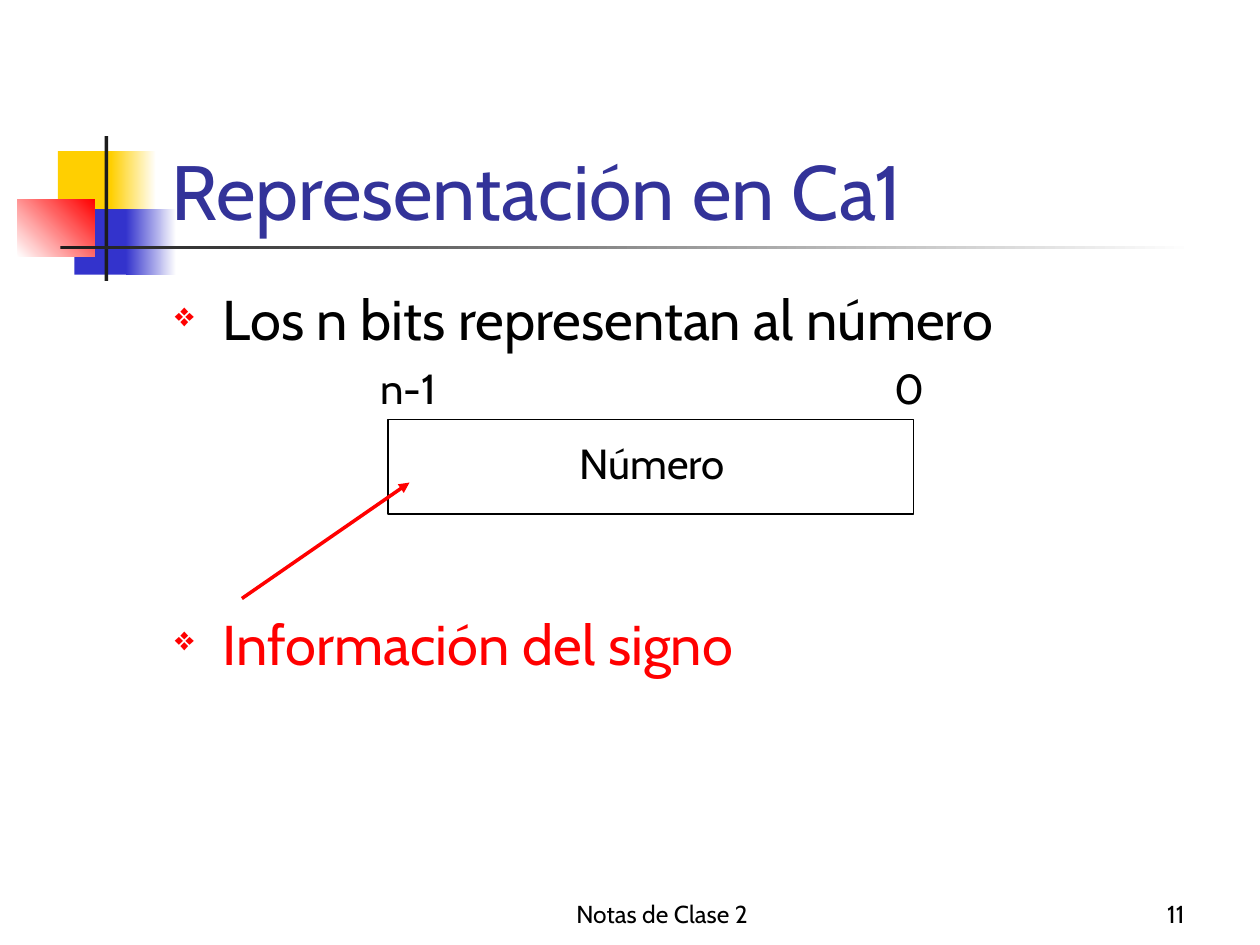
from lxml.etree import SubElement
from pptx import Presentation
from pptx.dml.color import RGBColor
from pptx.enum.shapes import MSO_CONNECTOR, MSO_SHAPE
from pptx.enum.text import MSO_ANCHOR, PP_ALIGN
from pptx.oxml.ns import qn
from pptx.util import Inches, Pt

THEME = {
    "font": "Cabin",
    "black": "000000", "white": "FFFFFF", "red": "FF0000", "title": "333399",
    "yellow": "FFCF01", "blue": "3333CC", "ink": "1C1C1C",
    "title_size": 44, "body_size": 32, "label_size": 24, "footer_size": 14,
}

# (left, top, width, height), fill colours, gradient angle (counter-clockwise)
ORNAMENT = [
    ((0.46, 1.2, 0.48, 0.52), ["yellow"], 0),
    ((0.88, 1.2, 0.36, 0.52), ["yellow", "white"], 0),
    ((0.59, 1.66, 0.46, 0.52), ["blue"], 0),
    ((1, 1.66, 0.4, 0.52), ["blue", "white"], 0),
    ((0.14, 1.58, 0.61, 0.46), ["white", "red"], 45),
    ((0.83, 1.08, 0.03, 1.15), ["ink"], 0),
    ((0.48, 1.95, 9, 0.03), ["ink", "white"], 0),
]
BOTTOM = {"vertical_anchor": MSO_ANCHOR.BOTTOM}
# text, box, size, colour, alignment, frame format
TEXTS = [
    ("Notas de Clase 2", (3.67, 6.92, 3.17, 0.5), "footer_size", "black", PP_ALIGN.CENTER, BOTTOM),
    ("11", (7.42, 6.92, 2.08, 0.5), "footer_size", "black", PP_ALIGN.RIGHT, BOTTOM),
    ("Representación en Ca1", (1.26, 0.67, 8.52, 1.25), "title_size", "title", PP_ALIGN.LEFT, BOTTOM),
]
LABELS = [
    ("Número", (4.5, 3.42, 1.58, 0.5), "label_size", "black", PP_ALIGN.LEFT, {}),
    ("0", (7, 2.83, 0.33, 0.5), "label_size", "black", PP_ALIGN.LEFT, {}),
    ("n-1", (2.92, 2.83, 1.08, 0.5), "label_size", "black", PP_ALIGN.LEFT, {}),
]
# text, colour, points of space before (the register diagram sits in the gap)
BULLETS = [
    ("Los n bits representan al número", "black", 0),
    ("Información del signo", "red", 147),
]
BODY_BOX = (1.29, 2.21, 8.5, 4.5)
REGISTER_BOX = (3.08, 3.33, 4.17, 0.75)
SIGN_ARROW = (1.92, 4.75, 3.25, 3.83)
BULLET_INDENT = 0.38


def rgb(name):
    return RGBColor.from_string(THEME[name])


def inches(values):
    return [Inches(v) for v in values]


def add_rect(slide, box, colors, angle=0, line=None):
    sp = slide.shapes.add_shape(MSO_SHAPE.RECTANGLE, *inches(box))
    sp.shadow.inherit = False
    if len(colors) == 1:
        sp.fill.solid()
        sp.fill.fore_color.rgb = rgb(colors[0])
    else:
        sp.fill.gradient()
        sp.fill.gradient_angle = angle
        for stop, position, color in zip(sp.fill.gradient_stops, (0, 1), colors):
            stop.position = position
            stop.color.rgb = rgb(color)
    if line:
        sp.line.color.rgb = rgb(line)
        sp.line.width = Pt(0.75)
    else:
        sp.line.fill.background()


def add_frame(slide, box, frame_format):
    tf = slide.shapes.add_textbox(*inches(box)).text_frame
    for name, value in {"word_wrap": True, **frame_format}.items():
        setattr(tf, name, value)
    return tf


def write(p, text, size, color):
    r = p.add_run()
    r.text = text
    for name, value in {"name": THEME["font"], "size": Pt(THEME[size])}.items():
        setattr(r.font, name, value)
    r.font.color.rgb = rgb(color)


def add_text(slide, text, box, size, color, align, frame_format):
    p = add_frame(slide, box, frame_format).paragraphs[0]
    p.alignment = align
    write(p, text, size, color)


def set_bullet(p):
    p_pr = p._p.get_or_add_pPr()
    p_pr.set("marL", str(Inches(BULLET_INDENT)))
    p_pr.set("indent", str(-Inches(BULLET_INDENT)))
    bullet_color = SubElement(p_pr, qn("a:buClr"))
    SubElement(bullet_color, qn("a:srgbClr"), val=THEME["red"])
    SubElement(p_pr, qn("a:buSzPct"), val="60000")
    SubElement(p_pr, qn("a:buChar"), char="❖")


def add_bullets(slide):
    tf = add_frame(slide, BODY_BOX, {})
    for i, (text, color, gap) in enumerate(BULLETS):
        p = tf.add_paragraph() if i else tf.paragraphs[0]
        set_bullet(p)
        p.space_before = Pt(gap)
        write(p, text, "body_size", color)


def add_arrow(slide, ends):
    line = slide.shapes.add_connector(MSO_CONNECTOR.STRAIGHT, *inches(ends))
    line.line.color.rgb = rgb("red")
    line.line.width = Pt(2)
    SubElement(line.line._get_or_add_ln(), qn("a:tailEnd"), type="triangle")
    SubElement(line._element.spPr, qn("a:effectLst"))


def main():
    prs = Presentation()
    prs.slide_width, prs.slide_height = Inches(10), Inches(7.5)
    slide = prs.slides.add_slide(prs.slide_layouts[6])
    for box, colors, angle in ORNAMENT:
        add_rect(slide, box, colors, angle)
    for item in TEXTS:
        add_text(slide, *item)
    add_bullets(slide)
    add_rect(slide, REGISTER_BOX, ["white"], line="black")
    for item in LABELS:
        add_text(slide, *item)
    add_arrow(slide, SIGN_ARROW)
    prs.save("out.pptx")


if __name__ == "__main__":
    main()
